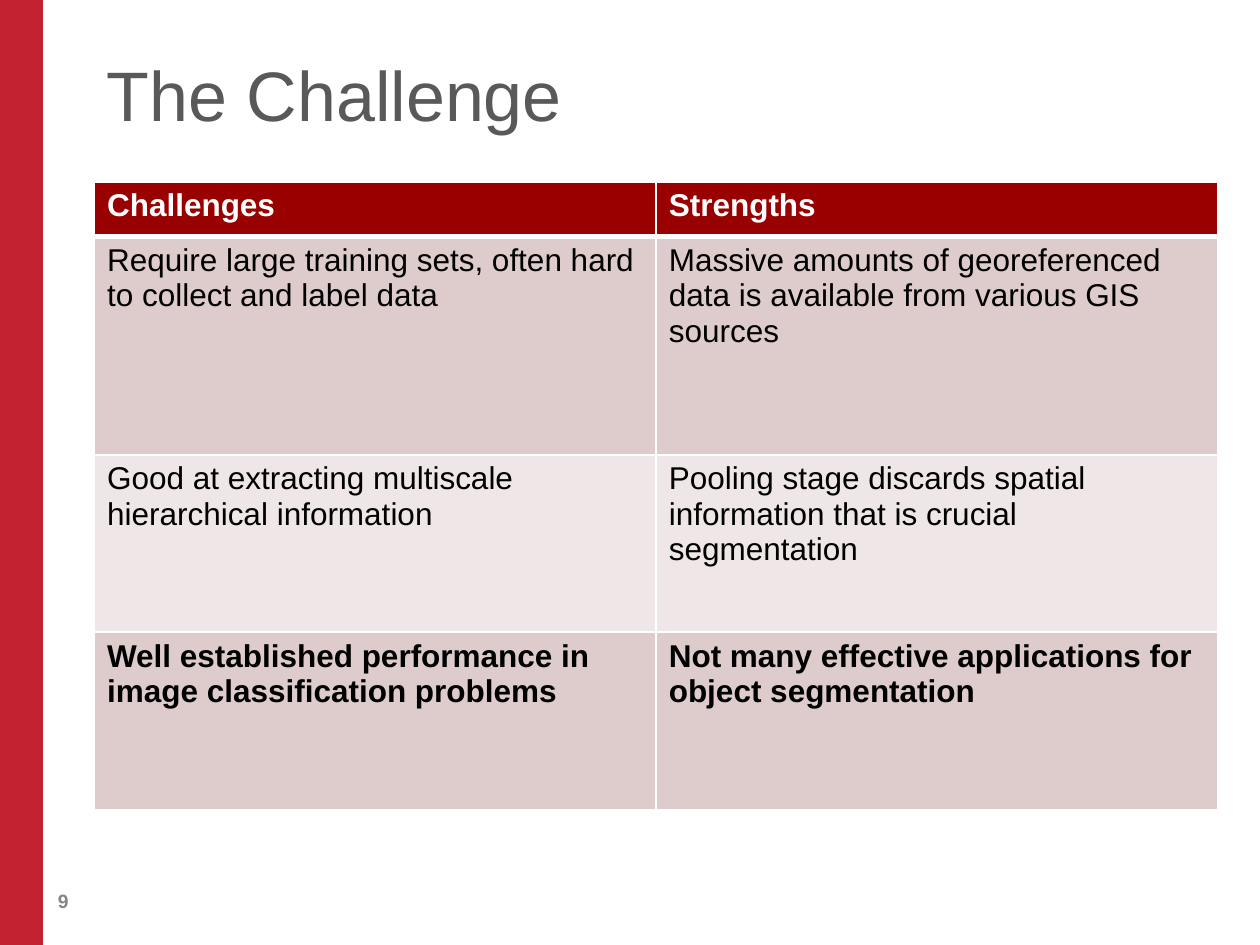
from lxml import etree
from pptx import Presentation
from pptx.dml.color import RGBColor
from pptx.enum import shapes, text
from pptx.oxml import ns
from pptx.util import Pt

WHITE = RGBColor(0xFF, 0xFF, 0xFF)
BLACK = RGBColor(0, 0, 0)
RED = RGBColor(0xC3, 0x23, 0x30)
DARK_RED = RGBColor(0x99, 0, 0)
ROSE = RGBColor(0xDE, 0xCC, 0xCC)
PALE_ROSE = RGBColor(0xEF, 0xE7, 0xE7)
TITLE_GREY = RGBColor(0x59, 0x59, 0x59)
NUMBER_GREY = RGBColor(0x85, 0x85, 0x85)


def write(frame, words, color, **format_values):
    frame.word_wrap = True
    paragraph = frame.paragraphs[0]
    run = paragraph.add_run()
    run.text = words
    run.font.color.rgb = color
    for name, value in {"name": "Arial", **format_values}.items():
        setattr(run.font, name, value)


def add_borders(cell, widths):
    properties = cell._tc.get_or_add_tcPr()
    for index, (side, width) in enumerate(widths.items()):
        line = etree.Element(ns.qn(f"a:ln{side}"), w=str(Pt(width)))
        fill = etree.SubElement(line, ns.qn("a:solidFill"))
        etree.SubElement(fill, ns.qn("a:srgbClr"), val=str(WHITE))
        properties.insert(index, line)


presentation = Presentation()
presentation.slide_width, presentation.slide_height = Pt(720), Pt(540)
slide = presentation.slides.add_slide(presentation.slide_layouts[6])

# Page number
number = slide.shapes.add_textbox(Pt(26), Pt(500.4), Pt(54), Pt(28.8))
number.text_frame.vertical_anchor = text.MSO_ANCHOR.MIDDLE
write(number.text_frame, "9", NUMBER_GREY, size=Pt(11), bold=True)

# Red side band
band = slide.shapes.add_shape(shapes.MSO_SHAPE.RECTANGLE, 0, 0, Pt(24.5), Pt(540))
band.shadow.inherit = False
band.fill.solid()
band.fill.fore_color.rgb = RED
band.line.fill.background()

# Title
title = slide.shapes.add_textbox(Pt(54), Pt(21.6), Pt(642), Pt(81.4))
title.text_frame.margin_top = Pt(8)
write(title.text_frame, "The Challenge", TITLE_GREY, size=Pt(40))

# Table: height, fill, text colour, bold, wording of each row
rows = [
    (31.4, DARK_RED, WHITE, True, ("Challenges", "Strengths")),
    (124.8, ROSE, BLACK, False, (
        "Require large training sets, often hard to collect and label data",
        "Massive amounts of georeferenced data is available from various GIS sources")),
    (101.2, PALE_ROSE, BLACK, False, (
        "Good at extracting multiscale hierarchical information",
        "Pooling stage discards spatial information that is crucial segmentation")),
    (101.2, ROSE, BLACK, True, (
        "Well established performance in image classification problems",
        "Not many effective applications for object segmentation")),
]
height = sum(row[0] for row in rows)
table = slide.shapes.add_table(
    len(rows), 2, Pt(54), Pt(103.9), Pt(642), Pt(height)).table

for row_index, (row_height, fill, color, bold, wording) in enumerate(rows):
    table.rows[row_index].height = Pt(row_height)
    # A thicker rule separates the header from the body
    widths = {"L": 1, "R": 1, "T": 3 if row_index == 1 else 1,
              "B": 3 if row_index == 0 else 1}
    for column_index, words in enumerate(wording):
        cell = table.cell(row_index, column_index)
        cell.fill.solid()
        cell.fill.fore_color.rgb = fill
        write(cell.text_frame, words, color, size=Pt(18), bold=bold)
        add_borders(cell, widths)

presentation.save("out.pptx")
